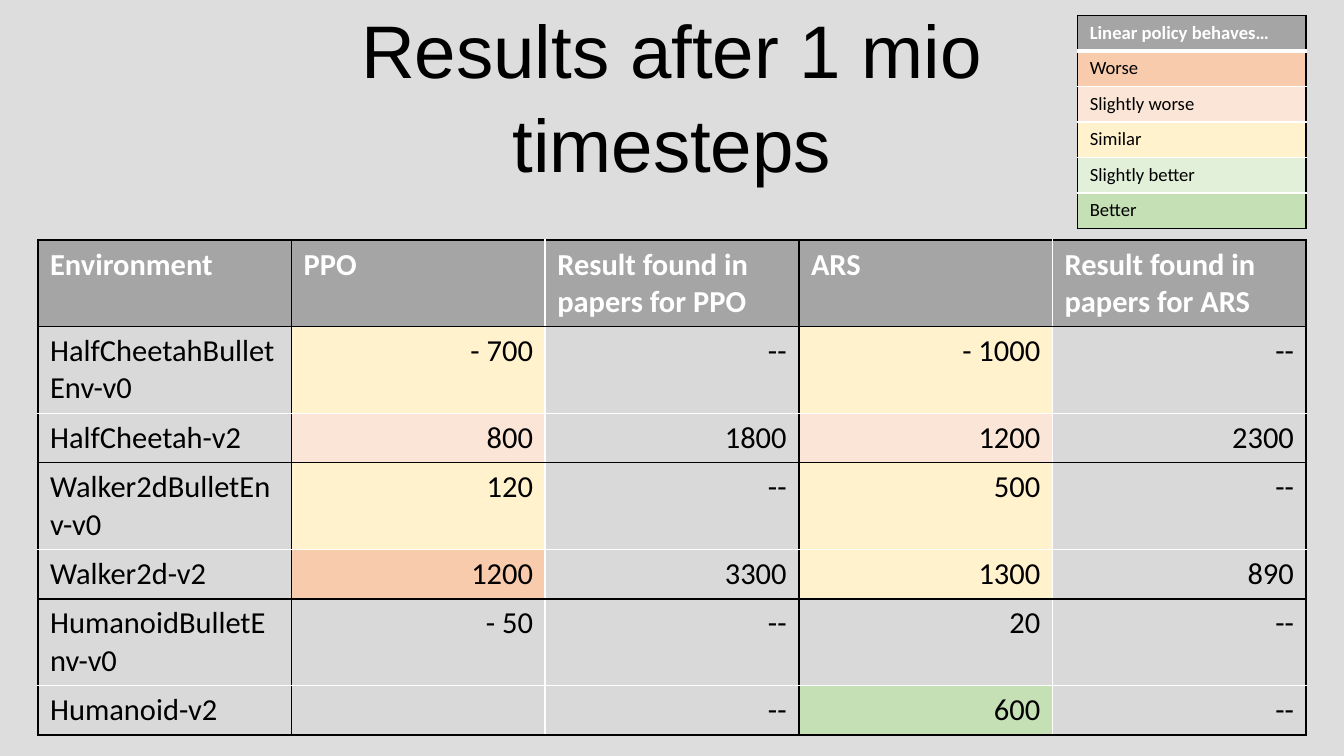
from lxml.etree import SubElement
from pptx import Presentation
from pptx.dml.color import RGBColor
from pptx.enum.text import MSO_ANCHOR, PP_ALIGN
from pptx.oxml.ns import qn
from pptx.util import Cm, Pt

COLORS = {
    "page": "DDDDDD", "header": "A5A5A5", "plain": "D9D9D9",
    "worse": "F8CBAD", "slightly worse": "FBE5D6", "similar": "FFF2CC",
    "slightly better": "E2F0D9", "better": "C5E0B4",
    "black": "000000", "white": "FFFFFF",
}

TITLE = "Results after 1 mio\vtimesteps"
LEGEND = ["Linear policy behaves…", "Worse", "Slightly worse", "Similar",
          "Slightly better", "Better"]
RESULTS = [
    ["Environment", "PPO", "Result found in papers for PPO", "ARS",
     "Result found in papers for ARS"],
    ["HalfCheetahBulletEnv-v0", "- 700", "--", "- 1000", "--"],
    ["HalfCheetah-v2", "800", "1800", "1200", "2300"],
    ["Walker2dBulletEnv-v0", "120", "--", "500", "--"],
    ["Walker2d-v2", "1200", "3300", "1300", "890"],
    ["HumanoidBulletEnv-v0", "- 50", "--", "20", "--"],
    ["Humanoid-v2", "", "--", "600", "--"],
]
# Rating of the linear policy by (row, column)
RATINGS = {
    (1, 1): "similar", (1, 3): "similar",
    (2, 1): "slightly worse", (2, 3): "slightly worse",
    (3, 1): "similar", (3, 3): "similar",
    (4, 1): "worse", (4, 3): "similar",
    (6, 3): "better",
}
TALL, SHORT = 1.8, 1.03
RESULT_HEIGHTS = [TALL, TALL, SHORT, TALL, SHORT, TALL, SHORT]
LEGEND_HEIGHTS = [0.74] * len(LEGEND)


def rgb(name):
    return RGBColor.from_string(COLORS[name])


def style_text(paragraph, font, size, color, bold=False):
    for span in paragraph.runs:
        span.font.name = font
        span.font.size = Pt(size)
        span.font.bold = bold
        span.font.color.rgb = rgb(color)


def set_borders(cell, borders):
    """Borders are (colour, points) for left, right, top and bottom."""
    properties = cell._tc.get_or_add_tcPr()
    for tag, (color, points) in zip(("a:lnL", "a:lnR", "a:lnT", "a:lnB"), borders):
        line = SubElement(properties, qn(tag), w=str(Pt(points)))
        fill = SubElement(line, qn("a:solidFill"))
        SubElement(fill, qn("a:srgbClr"), val=COLORS[color])


def add_grid(page, rows, left, top, width, heights, size, fill_of, rules_x, rules_y):
    frame = page.shapes.add_table(len(rows), len(rows[0]), Cm(left), Cm(top),
                                  Cm(width), Cm(sum(heights)))
    table = frame.table
    for row, height in zip(table.rows, heights):
        row.height = Cm(height)
    for r, texts in enumerate(rows):
        for c, text in enumerate(texts):
            cell = table.cell(r, c)
            cell.text = text
            paragraph = cell.text_frame.paragraphs[0]
            header = r == 0
            style_text(paragraph, "Calibri", size, "white" if header else "black", header)
            if c and not header:
                paragraph.alignment = PP_ALIGN.RIGHT
            # Borders come before the fill in the cell properties
            set_borders(cell, (rules_x[c], rules_x[c + 1], rules_y[r], rules_y[r + 1]))
            cell.fill.solid()
            cell.fill.fore_color.rgb = rgb("header" if header else fill_of(r, c))


def alternate(count):
    """Grid lines: black, with every second inner one white."""
    return [("white" if i and i % 2 == 0 else "black", 1) for i in range(count + 1)]


deck = Presentation()
deck.slide_width, deck.slide_height = Cm(28), Cm(15.75)
page = deck.slides.add_slide(deck.slide_layouts[6])
page.background.fill.solid()
page.background.fill.fore_color.rgb = rgb("page")

# Results
add_grid(page, RESULTS, 0.79, 5, 26.42, RESULT_HEIGHTS, 18,
         lambda r, c: RATINGS.get((r, c), "plain"),
         alternate(len(RESULTS[0])), alternate(len(RESULTS)))

# Title
box = page.shapes.add_textbox(Cm(1.4), Cm(0.63), Cm(25.2), Cm(2.64))
frame = box.text_frame
frame.word_wrap = True
frame.vertical_anchor = MSO_ANCHOR.MIDDLE
frame.margin_left = frame.margin_right = frame.margin_top = frame.margin_bottom = 0
frame.text = TITLE
heading = frame.paragraphs[0]
heading.alignment = PP_ALIGN.CENTER
heading.line_spacing = 1.05
style_text(heading, "Arial", 44, "black")

# Legend
inner_rules = [("white", 1)] * (len(LEGEND) - 2)
add_grid(page, [[label] for label in LEGEND], 22.45, 0.32, 4.76, LEGEND_HEIGHTS, 11,
         lambda r, c: LEGEND[r].lower(),
         [("black", 1)] * 2,
         [("black", 1), ("white", 3), *inner_rules, ("black", 1)])

deck.save("out.pptx")
